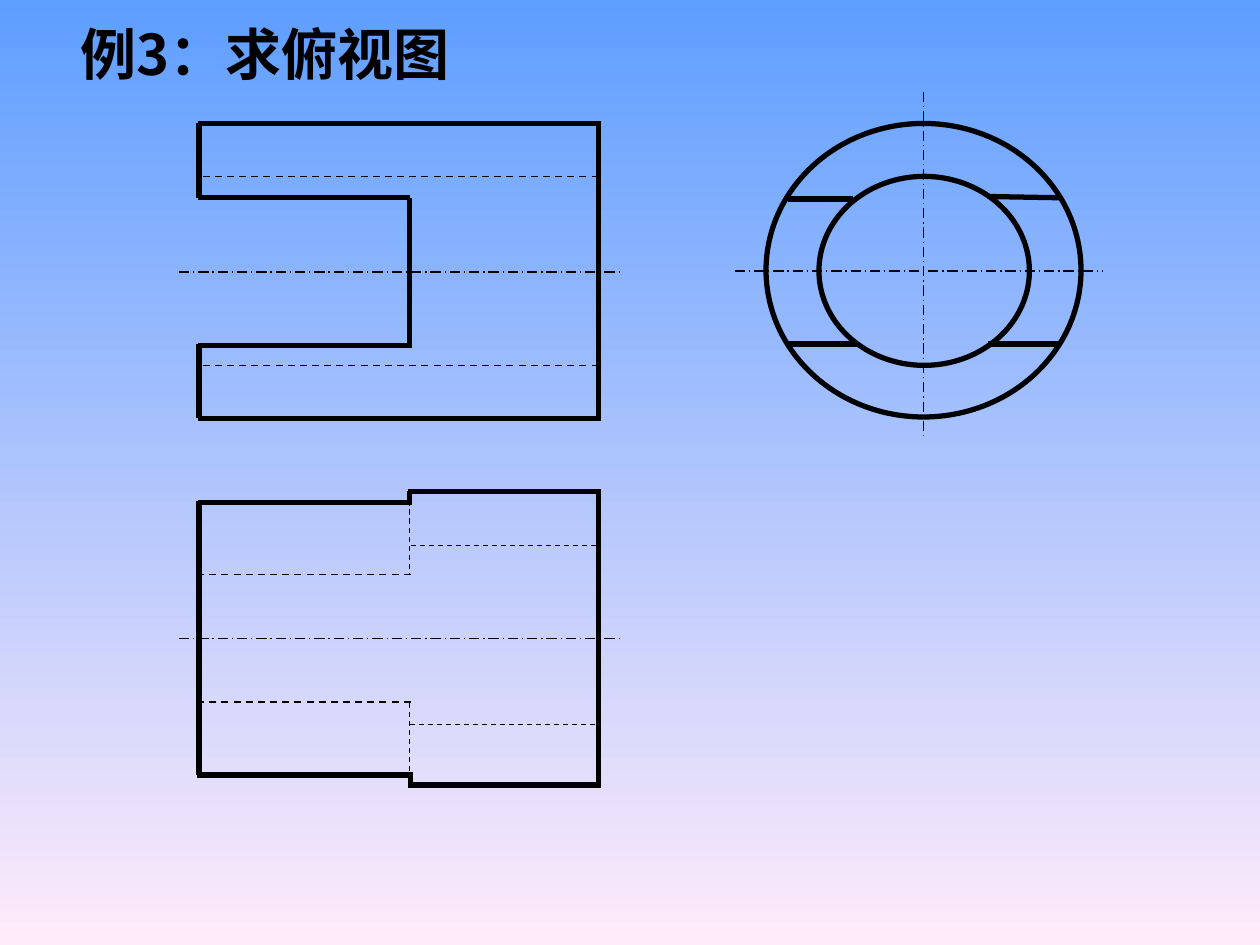
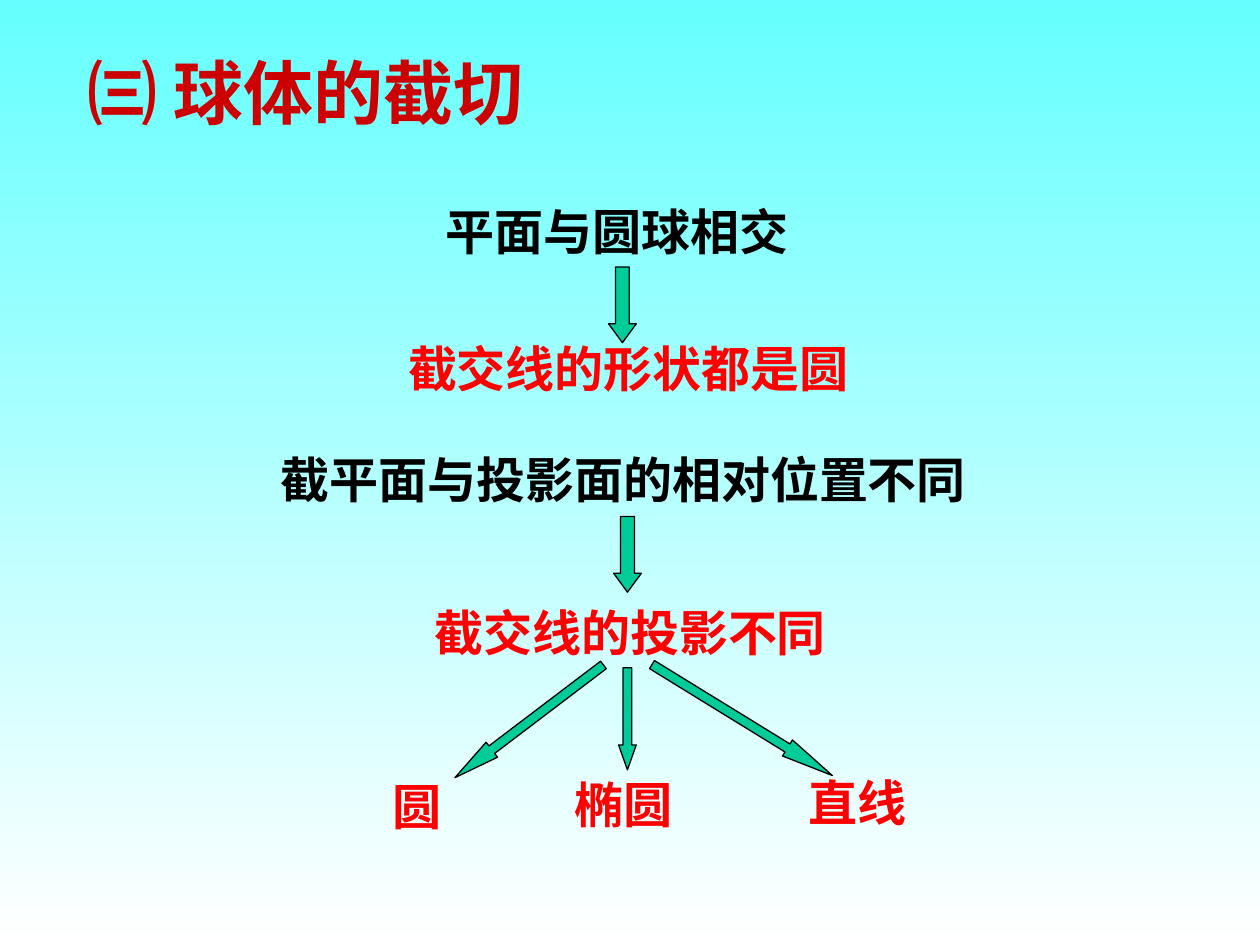
from lxml import etree
from pptx import Presentation
from pptx.dml.color import RGBColor
from pptx.enum import dml, shapes, text
from pptx.oxml.ns import qn
from pptx.util import Inches, Pt

FONT = "Noto Sans CJK SC"
BLACK, RED, DARK_RED, GREEN = "000000", "FF0000", "CC0000", "00CC99"


def rgb(value):
    return RGBColor.from_string(value)


def add_label(s, words, box, size, color, anchor=text.MSO_ANCHOR.TOP):
    """Add one bold, left-aligned line of text at box (left, top, width, height)."""
    tf = s.shapes.add_textbox(*map(Inches, box)).text_frame
    tf.word_wrap = True
    tf.vertical_anchor = anchor
    r = tf.paragraphs[0].add_run()
    r.text = words
    for name, value in {"size": Pt(size), "bold": True, "name": FONT}.items():
        setattr(r.font, name, value)
    r.font.color.rgb = rgb(color)
    etree.SubElement(r.font._element, qn("a:ea"), typeface=FONT)


prs = Presentation()
prs.slide_width, prs.slide_height = Inches(10), Inches(7.5)

slides = []
for stops in [("5E9EFF", "FFEBFA"), ("66FFFF", "FFFFFF")]:
    s = prs.slides.add_slide(prs.slide_layouts[6])
    fill = s.background.fill
    fill.gradient()
    fill.gradient_angle = 270
    for stop, color in zip(fill.gradient_stops, stops):
        stop.color.rgb = rgb(color)
    slides.append(s)
views, sphere = slides

# Slide 1: three views of a slotted tube
add_label(views, "例3：求俯视图", (0.54, 0.11, 3.34, 0.64), 32, BLACK)

for left, top, width, height in [(6.5, 1.4, 1.67, 1.5), (6.08, 0.98, 2.5, 2.33)]:
    sp = views.shapes.add_shape(shapes.MSO_SHAPE.OVAL, *map(Inches, (left, top, width, height)))
    sp.shadow.inherit = False
    sp.fill.background()
    sp.line.color.rgb = rgb(BLACK)
    sp.line.width = Pt(3)

x_left, x_slot, x_right = 1.58, 3.25, 4.75
front_top, slot_top, slot_bottom, front_bottom = 0.98, 1.57, 2.73, 3.32
plan_top, step_top, step_bottom, plan_bottom = 3.9, 3.98, 6.15, 6.23

outlines = [
    # front view
    (1.57, front_top, 4.77, front_top),
    (1.57, front_bottom, 4.77, front_bottom),
    (x_right, front_top, x_right, front_bottom),
    (1.57, slot_top, x_slot, slot_top),
    (1.57, 2.74, 3.27, 2.74),
    (x_slot, slot_top, x_slot, slot_bottom),
    (x_left, front_top, x_left, slot_top),
    (x_left, slot_bottom, x_left, front_bottom),
    # side view
    (6.25, 1.58, 6.77, 1.58),
    (6.25, slot_bottom, 6.8, slot_bottom),
    (7.86, 1.56, 8.42, 1.57),
    (7.84, slot_bottom, 8.42, slot_bottom),
    # top view
    (1.57, 3.99, 3.27, 3.99),
    (1.56, step_bottom, 3.28, step_bottom),
    (x_left, step_top, x_left, step_bottom),
    (3.24, plan_top, 4.77, plan_top),
    (3.24, plan_bottom, 4.77, plan_bottom),
    (x_right, plan_top, x_right, plan_bottom),
    (x_slot, plan_top, x_slot, step_top),
    (3.26, step_bottom, 3.26, plan_bottom),
]
bore_edges = [(x_right, y, x_left, y) for y in (1.4, 2.9)]
bore_edges += [(3.26, y, x_left, y) for y in (4.56, 5.57)]
hidden_edges = [
    (x_slot, plan_top, x_slot, 4.56),
    (x_slot, 5.58, x_slot, step_bottom),
    (3.26, 4.33, x_right, 4.33),
    (x_slot, 5.75, 4.74, 5.75),
]
centre_lines = [
    (1.42, 2.16, 4.93, 2.16),
    (5.83, 2.15, 8.75, 2.15),
    (7.33, 0.73, 7.33, 3.48),
    (1.42, 5.07, 4.92, 5.07),
]
for segments, width, dash in [
    (hidden_edges, 0.75, dml.MSO_LINE.DASH),
    (centre_lines, 0.75, dml.MSO_LINE.LONG_DASH_DOT),
    (bore_edges, 1, dml.MSO_LINE.DASH),
    (outlines, 3, None),
]:
    for ends in segments:
        c = views.shapes.add_connector(shapes.MSO_CONNECTOR.STRAIGHT, *map(Inches, ends))
        c.line.color.rgb = rgb(BLACK)
        c.line.width = Pt(width)
        c.line.dash_style = dash
        etree.SubElement(c._element.spPr, qn("a:effectLst"))

# Slide 2: cutting a sphere
add_label(sphere, "㈢ 球体的截切", (0.6, 0.34, 3.67, 0.77), 40, DARK_RED, text.MSO_ANCHOR.MIDDLE)

for words, left, top, width, color in [
    ("平面与圆球相交", 3.44, 1.55, 3.28, BLACK),
    ("截交线的形状都是圆", 3.14, 2.64, 4.36, RED),
    ("截平面与投影面的相对位置不同", 2.13, 3.52, 6.35, BLACK),
    ("截交线的投影不同", 3.35, 4.73, 4.19, RED),
    ("圆", 3.02, 6.11, 1.27, RED),
    ("椭圆", 4.46, 6.1, 1.37, RED),
    ("直线", 6.32, 6.08, 1.11, RED),
]:
    add_label(sphere, words, (left, top, width, 0.57), 28, color)

DOWN = shapes.MSO_SHAPE.DOWN_ARROW
for kind, box, head, angle in [
    (DOWN, (4.83, 2.12, 0.22, 0.6), 0.68, 0),
    (DOWN, (4.87, 4.1, 0.22, 0.6), 0.68, 0),
    (shapes.MSO_SHAPE.LEFT_ARROW, (3.46, 5.65, 1.48, 0.15), 2.45, 322.8),
    (DOWN, (4.91, 5.3, 0.14, 0.81), 1.41, 0),
    (shapes.MSO_SHAPE.RIGHT_ARROW, (5.05, 5.64, 1.68, 0.15), 2.78, 31.6),
]:
    sp = sphere.shapes.add_shape(kind, *map(Inches, box))
    sp.shadow.inherit = False
    sp.adjustments[0], sp.adjustments[1] = 0.5, head
    sp.rotation = angle
    sp.fill.solid()
    sp.fill.fore_color.rgb = rgb(GREEN)
    sp.line.color.rgb = rgb(BLACK)
    sp.line.width = Pt(0.75)

prs.save("out.pptx")
